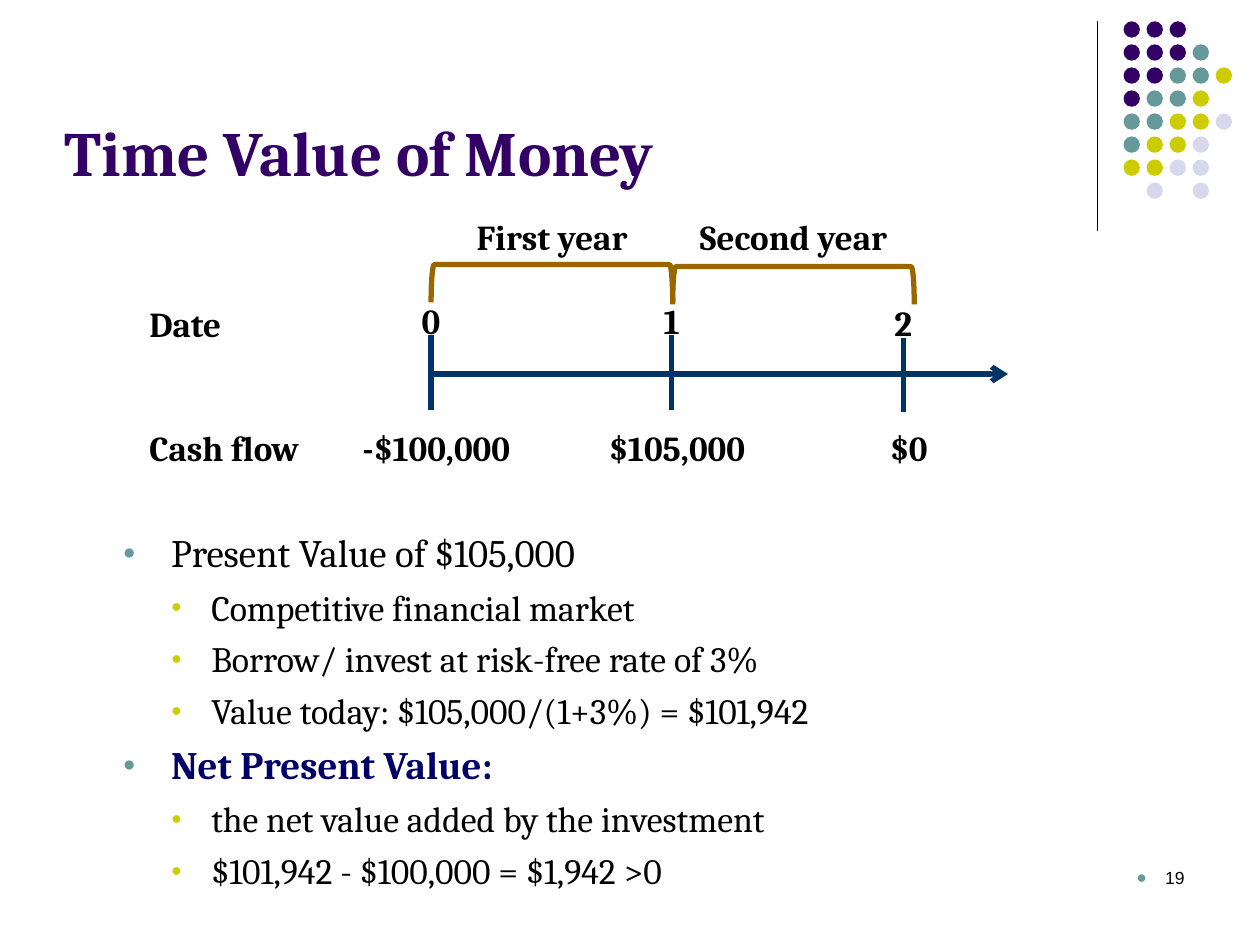
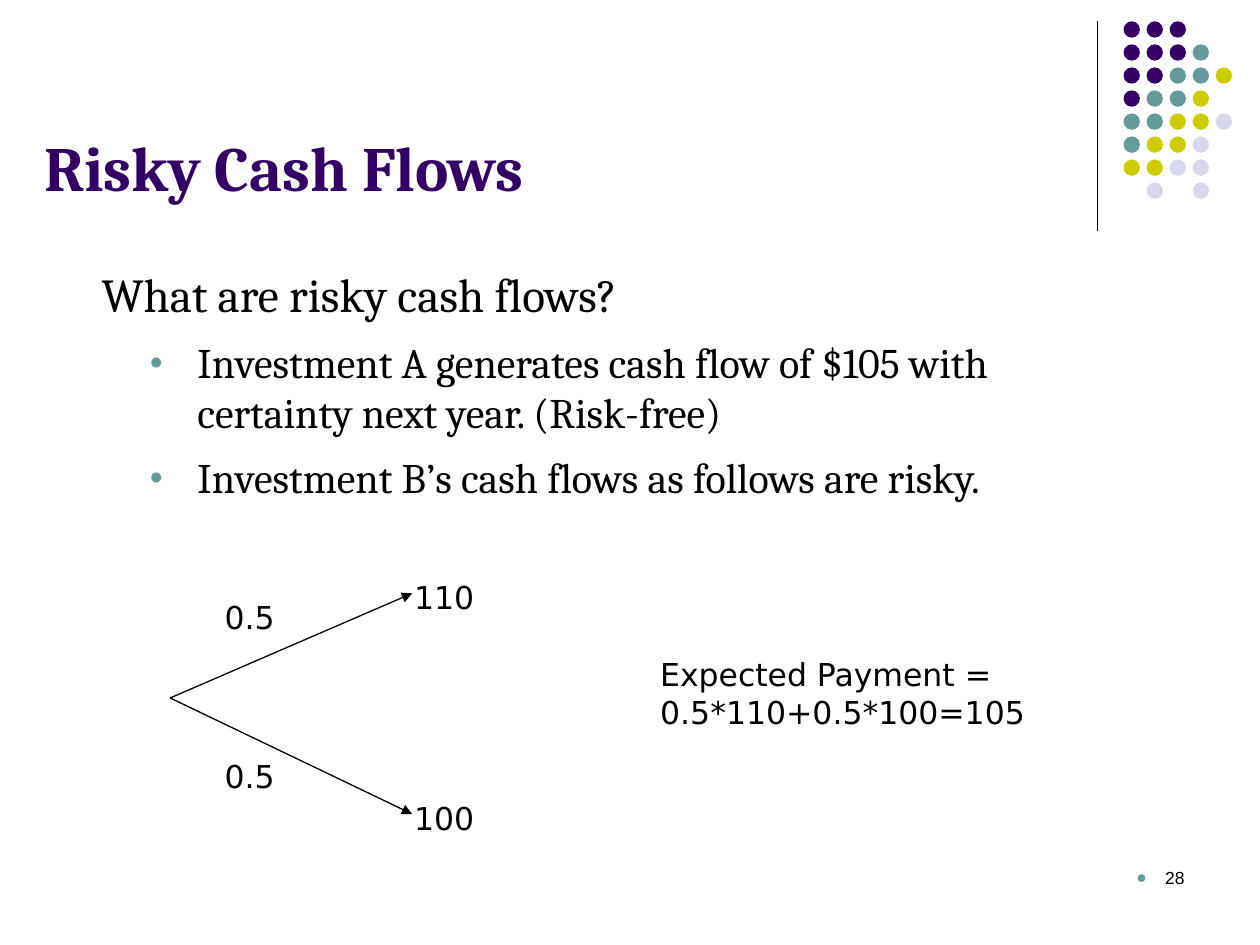
"""Build two finance slides: a cash-flow timeline and a risky payoff tree."""
from lxml import etree
from pptx import Presentation
from pptx.dml.color import RGBColor
from pptx.enum.shapes import MSO_CONNECTOR, MSO_SHAPE
from pptx.enum.text import MSO_ANCHOR, PP_ALIGN
from pptx.oxml.ns import qn
from pptx.util import Cm, Pt

STRAIGHT = MSO_CONNECTOR.STRAIGHT
OVAL, BRACKET = MSO_SHAPE.OVAL, MSO_SHAPE.LEFT_BRACKET
TOP, BOTTOM = MSO_ANCHOR.TOP, MSO_ANCHOR.BOTTOM
LEFT, CENTER, RIGHT = PP_ALIGN.LEFT, PP_ALIGN.CENTER, PP_ALIGN.RIGHT

BLACK = RGBColor(0x00, 0x00, 0x00)
PURPLE = RGBColor(0x33, 0x00, 0x66)
TEAL = RGBColor(0x66, 0x99, 0x99)
LIME = RGBColor(0xCC, 0xCC, 0x00)
LILAC = RGBColor(0xD8, 0xD8, 0xEC)
NAVY = RGBColor(0x00, 0x00, 0x66)
AXIS_BLUE = RGBColor(0x00, 0x33, 0x66)
BROWN = RGBColor(0x99, 0x66, 0x00)

SERIF, SANS, TREE_FONT = "Cambria", "Arial", "DejaVu Sans"

DOT_ROWS = ["PPP", "PPPT", "PPTTY", "PTTY", "TTYYL", "TYYL", "YYLL", " L L"]
DOT_COLORS = {"P": PURPLE, "T": TEAL, "Y": LIME, "L": LILAC}
DOT_LEFT, DOT_TOP, DOT_SIZE = 22.65, 0.43, 0.33
DOT_PITCH = 3.25 / (len(DOT_ROWS) - 1)

# level: (left margin, hanging indent, bullet colour, bullet size in percent)
BULLETS = {
    1: (1.93, 0.97, TEAL, 55),
    2: (2.74, 0.81, LIME, 50),
    "page": (0.58, 0.58, TEAL, 100),
}

VALUE_POINTS = [
    (1, "Present Value of $105,000"),
    (2, "Competitive financial market"),
    (2, "Borrow/ invest at risk-free rate of 3%"),
    (2, "Value today: $105,000/(1+3%) = $101,942"),
    (1, "Net Present Value:"),
    (2, "the net value added by the investment"),
    (2, "$101,942 - $100,000 = $1,942 >0"),
]
VALUE_SIZES = {1: 22.2, 2: 20.4}
KEY_TERM = "Net Present Value:"

ROW_HEADS = [("Date", 5.97), ("Cash flow", 8.48)]
DATES = [
    ("0", "-$100,000", 8.69, 0),
    ("1", "$105,000", 13.54, 0),
    ("2", "$0", 18.21, 0.05),
]
YEARS = ["First year", "Second year"]
YEAR_WIDTH, AXIS_Y, AXIS_END = 4.87, 7.54, 20.32

RISK_POINTS = [
    (0, "What are risky cash flows?"),
    (1, "Investment A generates cash flow of $105 with certainty next year. (Risk-free)"),
    (1, "Investment B’s cash flows as follows are risky."),
]
RISK_SIZES = {0: 27, 1: 24}

TREE_ROOT, TREE_END_X = (3.43, 14.07), 8.31
BRANCHES = [("0.5", 11.94, "110", 11.96), ("0.5", 15.14, "100", 16.41)]
EXPECTED = ["Expected Payment =", "0.5*110+0.5*100=105"]


def add_bullet(paragraph, level):
    margin, hanging, color, percent = BULLETS[level]
    props = paragraph._p.get_or_add_pPr()
    props.set("marL", str(Cm(margin)))
    props.set("indent", str(-Cm(hanging)))
    bullet_color = etree.SubElement(props, qn("a:buClr"))
    etree.SubElement(bullet_color, qn("a:srgbClr"), val=str(color))
    etree.SubElement(props, qn("a:buSzPct"), val=str(percent * 1000))
    etree.SubElement(props, qn("a:buFont"), typeface=SANS)
    etree.SubElement(props, qn("a:buChar"), char="●")


def style(paragraph, size, font=SERIF, color=BLACK, bold=False, align=LEFT):
    paragraph.alignment = align
    paragraph.font.size = Pt(size)
    paragraph.font.name = font
    paragraph.font.bold = bold
    paragraph.font.color.rgb = color


def add_text(slide, box, lines, size, anchor=TOP, wrap=True, **look):
    frame = slide.shapes.add_textbox(*map(Cm, box)).text_frame
    frame.word_wrap = wrap
    frame.vertical_anchor = anchor
    for i, line in enumerate(lines):
        paragraph = frame.add_paragraph() if i else frame.paragraphs[0]
        paragraph.text = line
        style(paragraph, size, **look)
    return frame


def add_points(slide, box, points, sizes, gap=None):
    frame = slide.shapes.add_textbox(*map(Cm, box)).text_frame
    frame.word_wrap = True
    for i, (level, text) in enumerate(points):
        paragraph = frame.add_paragraph() if i else frame.paragraphs[0]
        paragraph.text = text
        if level:
            add_bullet(paragraph, level)
        paragraph.space_after = Pt(gap or sizes[level] / 4)
        is_key = text == KEY_TERM
        style(paragraph, sizes[level], color=NAVY if is_key else BLACK, bold=is_key)


def add_line(slide, start, end, color=BLACK, width=0.75, head=None):
    line = slide.shapes.add_connector(STRAIGHT, *map(Cm, (*start, *end)))
    line.line.color.rgb = color
    line.line.width = Pt(width)
    if head:
        etree.SubElement(line.line._get_or_add_ln(), qn("a:tailEnd"), type=head)
    etree.SubElement(line._element.spPr, qn("a:effectLst"))


def add_base_slide(prs, title, title_box, page):
    slide = prs.slides.add_slide(prs.slide_layouts[6])
    add_line(slide, (22.12, 0.43), (22.12, 4.65))
    for row, marks in enumerate(DOT_ROWS):
        for col, mark in enumerate(marks):
            if mark in DOT_COLORS:
                dot = slide.shapes.add_shape(
                    OVAL, Cm(DOT_LEFT + col * DOT_PITCH), Cm(DOT_TOP + row * DOT_PITCH),
                    Cm(DOT_SIZE), Cm(DOT_SIZE))
                dot.shadow.inherit = False
                dot.fill.solid()
                dot.fill.fore_color.rgb = DOT_COLORS[mark]
                dot.line.fill.background()
    add_text(slide, title_box, [title], 36, anchor=BOTTOM, color=PURPLE, bold=True)
    number = add_text(slide, (18.21, 17.35, 5.92, 1.27), [page], 10, font=SANS, align=RIGHT)
    number.paragraphs[0].font.size = None
    props = number.paragraphs[0]._p.get_or_add_pPr()
    props.remove(props.find(qn("a:defRPr")))
    add_bullet(number.paragraphs[0], "page")
    style(number.paragraphs[0], 10, font=SANS, align=RIGHT)
    return slide


def add_timeline(slide):
    def label(text, left, top, width=4.88, align=CENTER):
        add_text(slide, (left, top, width, 1.12), [text], 20, bold=True, align=align)

    start = DATES[0][2]
    add_line(slide, (start, AXIS_Y), (AXIS_END, AXIS_Y), AXIS_BLUE, 3, "arrow")
    for text, top in ROW_HEADS:
        label(text, 2.76, top, align=LEFT)
    for date, cash, x, drop in DATES:
        add_line(slide, (x, 6.76 + drop), (x, 8.26 + drop), AXIS_BLUE, 3)
        label(date, x - 1.06, 5.91 + drop, 2.12)
        label(cash, x - 2.33, 8.48)
    for i, year in enumerate(YEARS):
        left, depth = start + i * YEAR_WIDTH, 0.76
        label(year, left, 4.22)
        bracket = slide.shapes.add_shape(
            BRACKET, Cm(left + (YEAR_WIDTH - depth) / 2), Cm(3.28 + i * 0.04),
            Cm(depth), Cm(YEAR_WIDTH))
        bracket.rotation = 90
        bracket.shadow.inherit = False
        bracket.fill.background()
        bracket.line.color.rgb = BROWN
        bracket.line.width = Pt(3)


def add_payoff_tree(slide):
    def label(lines, box):
        add_text(slide, box, lines, 18, wrap=False, font=TREE_FONT)

    for chance, chance_top, payoff, end_y in BRANCHES:
        add_line(slide, TREE_ROOT, (TREE_END_X, end_y), head="triangle")
        label([chance], (4.28, chance_top, 1.57, 1.02))
        label([payoff], (8.1, end_y - 0.43, 1.75, 1.02))
    label(EXPECTED, (13.06, 13.08, 8.18, 1.8))


def main():
    prs = Presentation()
    prs.slide_width, prs.slide_height = Cm(25.4), Cm(19.05)

    time_value = add_base_slide(prs, "Time Value of Money", (1.06, 0.76, 23.28, 3.18), "19")
    add_points(time_value, (1.27, 10.54, 22.23, 7.04), VALUE_POINTS, VALUE_SIZES)
    add_timeline(time_value)

    risky = add_base_slide(prs, "Risky Cash Flows", (0.64, 0.64, 21.38, 3.6), "28")
    add_points(risky, (1.8, 5.23, 20.53, 11.78), RISK_POINTS, RISK_SIZES, gap=8)
    add_payoff_tree(risky)

    prs.save("out.pptx")


if __name__ == "__main__":
    main()
